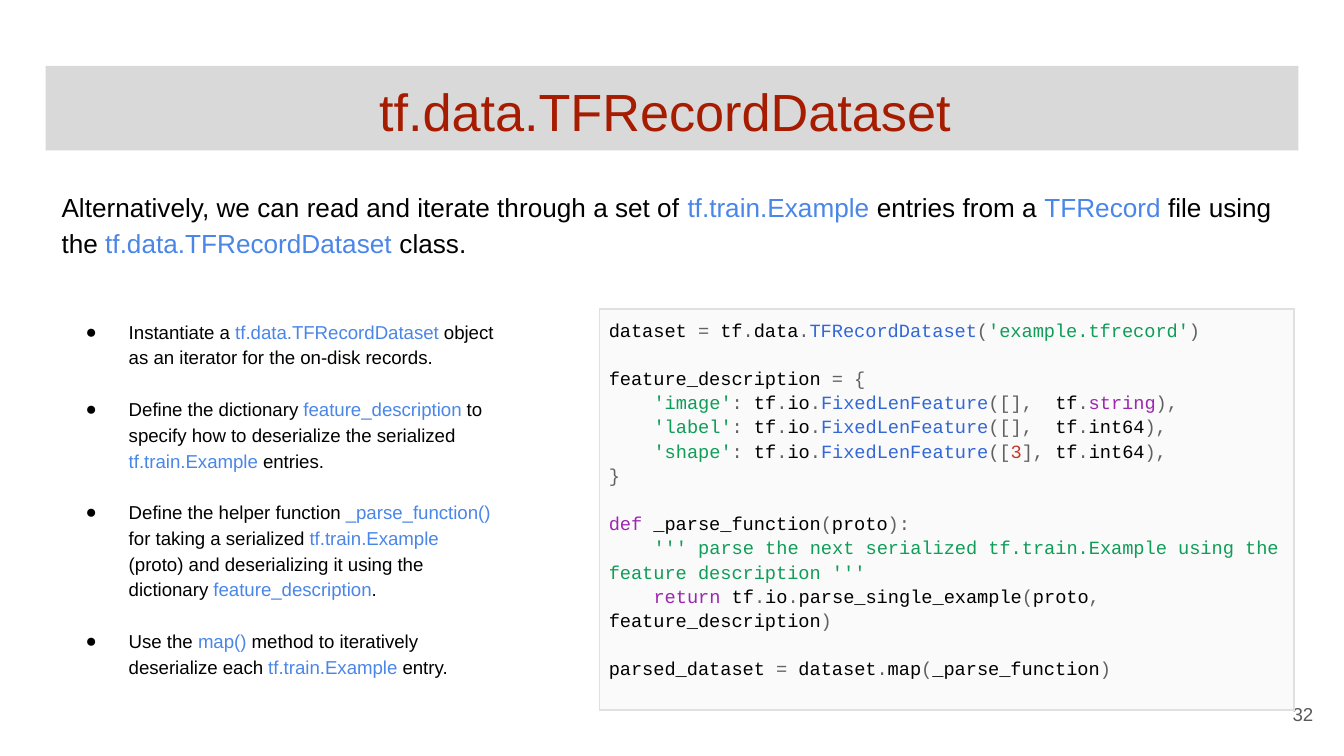
from itertools import groupby

from lxml.etree import SubElement
from pptx import Presentation
from pptx.dml.color import RGBColor as RGB
from pptx.enum.shapes import MSO_SHAPE as SHAPE
from pptx.enum.text import MSO_ANCHOR as ANCHOR, PP_ALIGN as ALIGN
from pptx.oxml.ns import qn
from pptx.util import Inches, Pt

COLORS = {
    "text": "000000", "title": "A61C00", "band": "D9D9D9", "number": "595959",
    "term": "4A86E8", "panel": "FAFAFA", "border": "E0E0E0",
    "punct": "616161", "call": "3367D6", "string": "0F9D58",
    "keyword": "9C27B0", "digit": "C53929",
}
PUNCTUATION = ".=(){}[],:"

INTRO = ("Alternatively, we can read and iterate through a set of |term~tf.train.Example| entries "
         "from a |term~TFRecord| file using the |term~tf.data.TFRecordDataset| class.")
STEPS = [
    "Instantiate a |term~tf.data.TFRecordDataset| object as an iterator for the on-disk records.",
    "Define the dictionary |term~feature_description| to specify how to deserialize "
    "the serialized |term~tf.train.Example |entries.",
    "Define the helper function |term~_parse_function() |for taking a serialized "
    "|term~tf.train.Example| (proto) and deserializing it using the dictionary "
    "|term~feature_description|.",
    "Use the |term~map() |method to iteratively deserialize each|term~ tf.train.Example |entry.",
]
FEATURE = "|string~'{}'|: tf.io.|call~FixedLenFeature|([{}], {}tf.{}),"
CODE = [
    ["dataset = tf.data.|call~TFRecordDataset|(|string~'example.tfrecord'|)"],
    ["feature_description = {",
     "\t" + FEATURE.format("image", "", " ", "|keyword~string|"),
     "\t" + FEATURE.format("label", "", " ", "int64"),
     "\t" + FEATURE.format("shape", "|digit~3|", "", "int64"),
     "}"],
    ["|keyword~def| _parse_function(proto):",
     "\t|string~''' parse the next serialized tf.train.Example using the feature description '''|",
     "\t|keyword~return| tf.io.parse_single_example(proto, feature_description)"],
    ["parsed_dataset = dataset.map(_parse_function)"],
]


def split_marks(text, is_code=False):
    for i, part in enumerate(text.split("|")):
        if i % 2:
            color, words = part.split("~")
            yield words, color
        elif is_code:
            for punct, chars in groupby(part, lambda c: c in PUNCTUATION):
                yield "".join(chars), "punct" if punct else "text"
        elif part:
            yield part, "text"


class Deck:
    sans, mono = "Arial", "Courier New"
    spacing = 1.15

    def __init__(self, width):
        self.prs = Presentation()
        self.prs.slide_width = Inches(width)
        self.prs.slide_height = Inches(width * 9 / 16)
        self.s = self.prs.slides.add_slide(self.prs.slide_layouts[6])

    def frame(self, tf, **values):
        margins = {f"margin_{side}": Inches(0.1) for side in ("left", "top", "right", "bottom")}
        for name, value in {"word_wrap": True, **margins, **values}.items():
            setattr(tf, name, value)
        return tf

    def paragraph(self, tf, runs, size, font=None, **values):
        p = tf.paragraphs[0] if not tf.paragraphs[0].runs else tf.add_paragraph()
        for name, value in values.items():
            setattr(p, name, value)
        for text, color in runs:
            r = p.add_run()
            r.text = text
            r.font.size, r.font.name = Pt(size), font or self.sans
            r.font.color.rgb = RGB.from_string(COLORS[color])
        return p

    def title(self, box, text):
        sp = self.s.shapes.add_shape(SHAPE.RECTANGLE, *map(Inches, box))
        sp.shadow.inherit = False
        sp.fill.solid()
        sp.fill.fore_color.rgb = RGB.from_string(COLORS["band"])
        sp.line.fill.background()
        tf = self.frame(sp.text_frame, vertical_anchor=ANCHOR.TOP)
        self.paragraph(tf, [(text, "title")], 28, alignment=ALIGN.CENTER)

    def text(self, box, runs, size, anchor=ANCHOR.TOP, **values):
        sp = self.s.shapes.add_textbox(*map(Inches, box))
        tf = self.frame(sp.text_frame, vertical_anchor=anchor)
        self.paragraph(tf, runs, size, **values)

    def bullets(self, box, items, top, gap):
        sp = self.s.shapes.add_textbox(*map(Inches, box))
        tf = self.frame(sp.text_frame, margin_top=Inches(top))
        for i, item in enumerate(items):
            p = self.paragraph(tf, split_marks(item), 10, line_spacing=self.spacing,
                               space_before=Pt(gap if i else 0))
            pPr = p._p.get_or_add_pPr()
            pPr.set("marL", str(Inches(0.5)))
            pPr.set("indent", str(Inches(-0.32)))
            color = SubElement(pPr, qn("a:buClr"))
            SubElement(color, qn("a:srgbClr"), val=COLORS["text"])
            SubElement(pPr, qn("a:buFont"), typeface=self.sans)
            SubElement(pPr, qn("a:buChar"), char="●")

    def code(self, box, blocks, gap):
        table = self.s.shapes.add_table(1, 1, *map(Inches, box)).table
        table.first_row = table.horz_banding = False
        cell = table.cell(0, 0)
        for side in ("left", "top", "right", "bottom"):
            setattr(cell, f"margin_{side}", Inches(0.07))
        for b, block in enumerate(blocks):
            for i, line in enumerate(block):
                runs = split_marks(line.lstrip("\t"), is_code=True)
                p = self.paragraph(cell.text_frame, runs, 10, self.mono,
                                   line_spacing=self.spacing,
                                   space_before=Pt(gap if b and not i else 0))
                if line.startswith("\t"):
                    p._p.get_or_add_pPr().set("indent", str(Pt(24)))
        tcPr = cell._tc.get_or_add_tcPr()
        for side in ("lnL", "lnR", "lnT", "lnB"):
            ln = SubElement(tcPr, qn(f"a:{side}"), w=str(Pt(1)))
            SubElement(SubElement(ln, qn("a:solidFill")), qn("a:srgbClr"), val=COLORS["border"])
        cell.fill.solid()
        cell.fill.fore_color.rgb = RGB.from_string(COLORS["panel"])


def main():
    deck = Deck(10)
    deck.title((0.34, 0.49, 9.32, 0.63), "tf.data.TFRecordDataset ")
    deck.text((9.27, 5.1, 0.6, 0.43), [("32", "number")], 10, ANCHOR.MIDDLE,
              alignment=ALIGN.RIGHT)
    deck.text((0.36, 1.29, 9.27, 1.01), split_marks(INTRO), 14, line_spacing=deck.spacing)
    deck.code((4.46, 2.3, 5.17, 1.98), CODE, gap=13)
    deck.bullets((0.36, 2.09, 3.43, 3.19), STEPS, top=0.27, gap=13.8)
    deck.prs.save("out.pptx")


if __name__ == "__main__":
    main()
